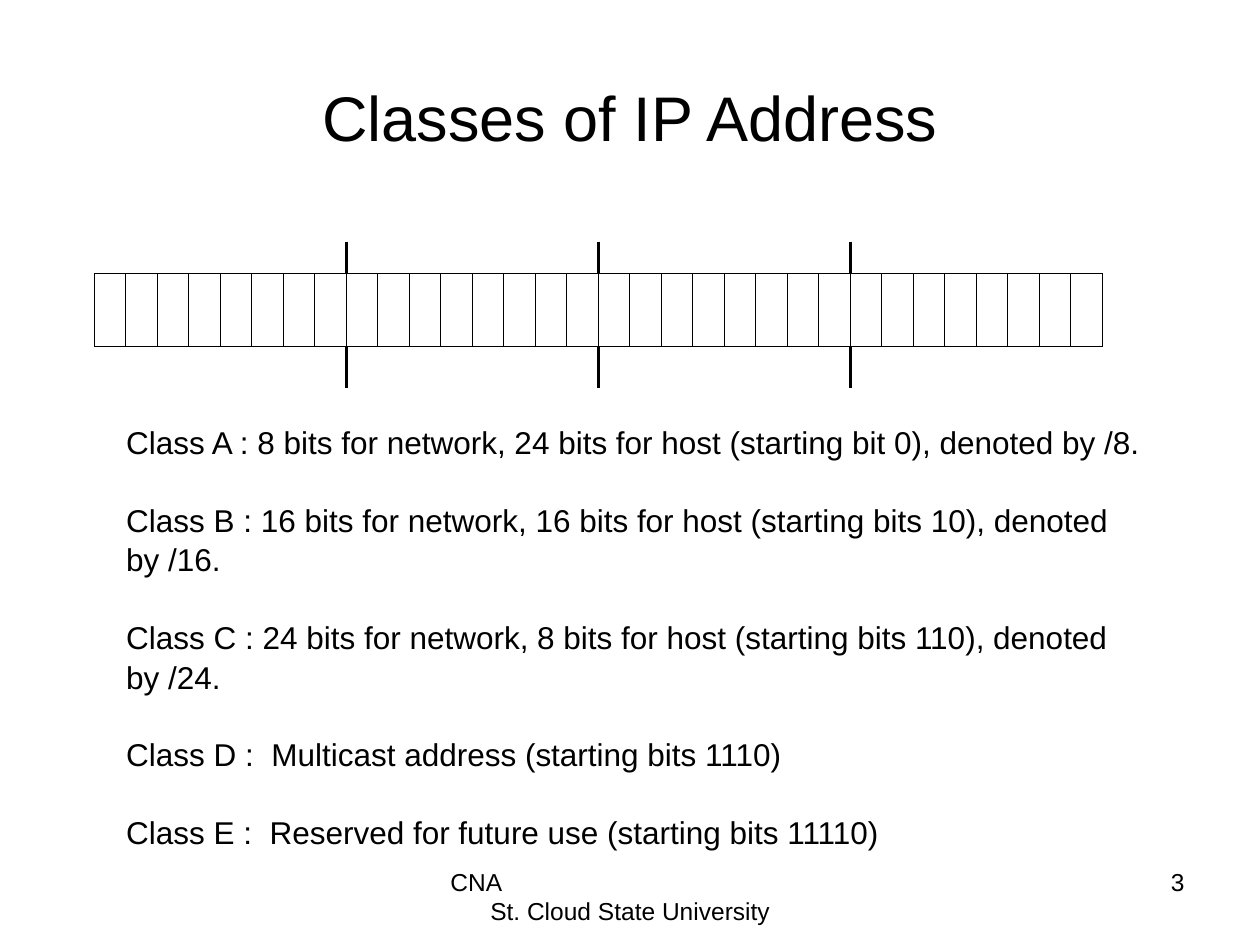
from lxml.etree import SubElement
from pptx import Presentation
from pptx.dml.color import RGBColor
from pptx.enum.shapes import MSO_CONNECTOR as Connector
from pptx.enum.text import MSO_ANCHOR as Anchor, MSO_AUTO_SIZE as AutoSize, PP_ALIGN as Align
from pptx.oxml.ns import qn
from pptx.util import Cm, Pt

BITS, OCTET = 32, 8
BIT_WIDTH = 20.32 / BITS
BAR_LEFT, BAR_TOP, BAR_HEIGHT = 1.9, 5.51, 1.47
BAR_BOTTOM = BAR_TOP + BAR_HEIGHT
TICK_ABOVE, TICK_BELOW = 0.64, 0.84

CLASSES = [
    "Class A : 8 bits for network, 24 bits for host (starting bit 0), denoted by /8.",
    "Class B : 16 bits for network, 16 bits for host (starting bits 10), denoted by /16.",
    "Class C : 24 bits for network, 8 bits for host (starting bits 110), denoted by /24.",
    "Class D :  Multicast address (starting bits 1110)",
    "Class E :  Reserved for future use (starting bits 11110)",
]


def color(hex_string):
    return RGBColor.from_string(hex_string)


class SlideBuilder:
    font = "Arial"
    ink = "000000"
    border_points = 0.45
    tick_points = 1.5

    def __init__(self, slide):
        self.slide = slide

    def place(self, shape, left, top, width, height):
        shape.left, shape.top = Cm(left), Cm(top)
        shape.width, shape.height = Cm(width), Cm(height)

    def add_text(self, paragraph, text, size, align):
        paragraph.alignment = align
        run = paragraph.add_run()
        run.text = text
        run.font.name, run.font.size = self.font, Pt(size)
        run.font.color.rgb = color(self.ink)

    def title(self, text, box):
        shape = self.slide.shapes.title
        self.place(shape, *box)
        shape.text_frame.vertical_anchor = Anchor.MIDDLE
        self.add_text(shape.text_frame.paragraphs[0], text, 36, Align.CENTER)

    def body(self, lines, box):
        shape = self.slide.placeholders[1]
        self.place(shape, *box)
        frame = shape.text_frame
        frame.auto_size = AutoSize.NONE
        for index, line in enumerate(lines):
            paragraph = frame.add_paragraph() if index else frame.paragraphs[0]
            properties = paragraph._p.get_or_add_pPr()
            properties.set("marL", "0")
            properties.set("indent", "0")
            SubElement(properties, qn("a:buNone"))
            paragraph.line_spacing = 1.05
            paragraph.space_before = Pt(21.7 if index else 0)
            self.add_text(paragraph, line, 18, Align.LEFT)

    def text_box(self, lines, box):
        """Add a text box from (text, alignment, indent in cm) lines."""
        frame = self.slide.shapes.add_textbox(*map(Cm, box)).text_frame
        frame.word_wrap = True
        for index, (text, align, indent) in enumerate(lines):
            paragraph = frame.add_paragraph() if index else frame.paragraphs[0]
            paragraph._p.get_or_add_pPr().set("marL", str(Cm(indent)))
            self.add_text(paragraph, text, 14, align)

    def border(self, cell):
        properties = cell._tc.get_or_add_tcPr()
        for side in ("lnL", "lnR", "lnT", "lnB"):
            line = SubElement(properties, qn(f"a:{side}"), w=str(Pt(self.border_points)))
            fill = SubElement(line, qn("a:solidFill"))
            SubElement(fill, qn("a:srgbClr"), val=self.ink)

    def bit_table(self, columns, left, top, width, height):
        frame = self.slide.shapes.add_table(1, columns, Cm(left), Cm(top), Cm(width), Cm(height))
        table = frame.table
        table.first_row = table.horz_banding = False
        for column in table.columns:
            column.width = Cm(width / columns)
        for cell in table.iter_cells():
            cell.margin_left = cell.margin_right = 0
            self.border(cell)
            cell.fill.background()

    def vertical_line(self, x, top, bottom):
        line = self.slide.shapes.add_connector(
            Connector.STRAIGHT, Cm(x), Cm(top), Cm(x), Cm(bottom))
        line.line.color.rgb = color(self.ink)
        line.line.width = Pt(self.tick_points)
        SubElement(line._element.spPr, qn("a:effectLst"))


def main():
    presentation = Presentation()
    presentation.slide_width, presentation.slide_height = Cm(25.4), Cm(19.05)
    builder = SlideBuilder(presentation.slides.add_slide(presentation.slide_layouts[1]))

    builder.title("Classes of IP Address", (1.27, 0.76, 22.86, 3.18))
    builder.bit_table(BITS, BAR_LEFT, BAR_TOP, BITS * BIT_WIDTH, BAR_HEIGHT)
    for bit in range(OCTET, BITS, OCTET):
        x = BAR_LEFT + bit * BIT_WIDTH
        builder.vertical_line(x, BAR_TOP - TICK_ABOVE, BAR_TOP)
        builder.vertical_line(x, BAR_BOTTOM, BAR_BOTTOM + TICK_BELOW)
    builder.body(CLASSES, (2.29, 8.36, 21.41, 9.4))

    builder.text_box(
        [("CNA", Align.LEFT, 0.15), ("St. Cloud State University", Align.CENTER, 0)],
        (8.68, 17.35, 8.05, 1.32))
    builder.text_box([("3", Align.RIGHT, 0)], (18.21, 17.35, 5.92, 1.32))

    presentation.save("out.pptx")


if __name__ == "__main__":
    main()
